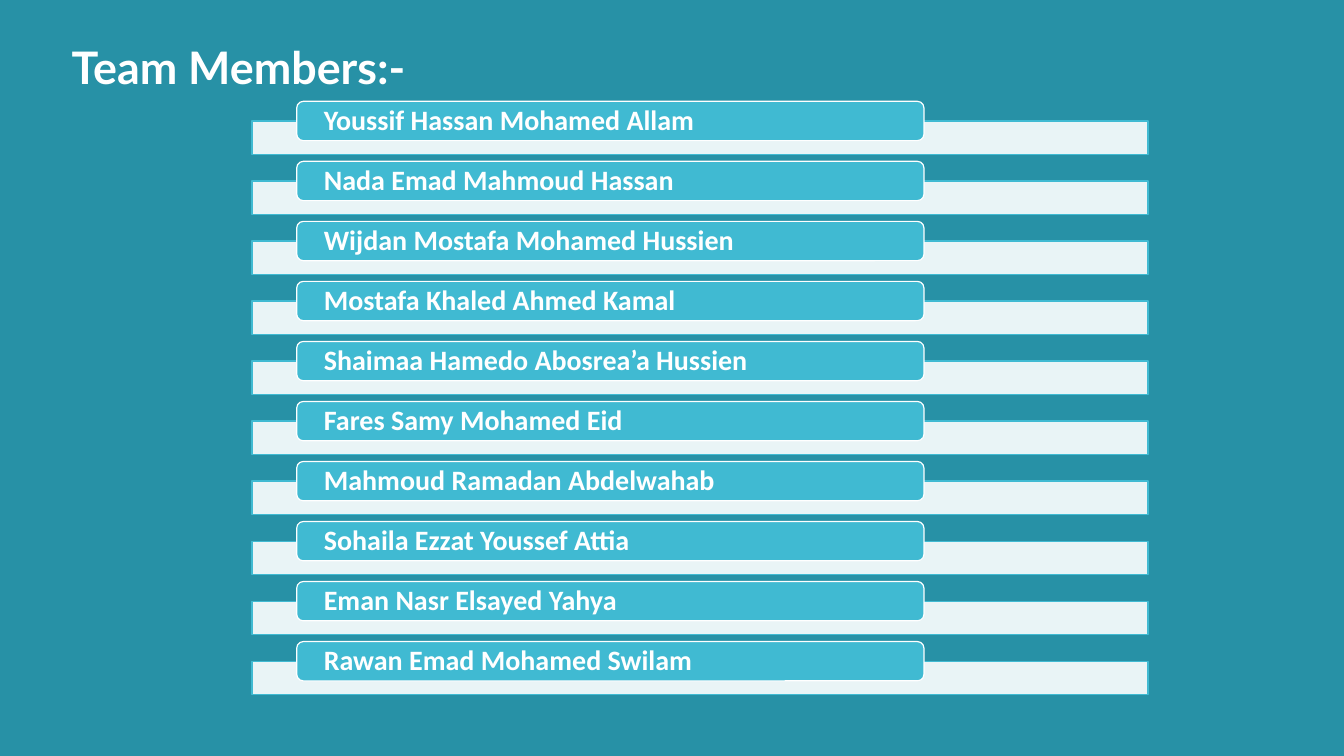
from pptx import Presentation
from pptx import util as u
from pptx.dml.color import RGBColor
from pptx.enum import shapes, text
from pptx.oxml.ns import qn
from lxml import etree

TEAL = RGBColor(0x27, 0x91, 0xA6)
SKY = RGBColor(0x40, 0xBA, 0xD2)
WHITE = RGBColor(0xFF, 0xFF, 0xFF)

MEMBERS = [
    "Youssif Hassan Mohamed Allam",
    "Nada Emad Mahmoud Hassan",
    "Wijdan Mostafa Mohamed Hussien",
    "Mostafa Khaled Ahmed Kamal",
    "Shaimaa Hamedo Abosrea’a Hussien",
    "Fares Samy Mohamed Eid",
    "Mahmoud Ramadan Abdelwahab",
    "Sohaila Ezzat Youssef Attia",
    "Eman Nasr Elsayed Yahya",
    "Rawan Emad Mohamed Swilam",
]
ROW_STEP = 7.94


class TeamSlide:
    """Styled slide whose lengths are percentages of its width and height."""

    def __init__(self, deck):
        self.width, self.height = deck.slide_width, deck.slide_height
        self.slide = deck.slides.add_slide(deck.slide_layouts[5])
        background = self.slide.background.fill
        background.solid()
        background.fore_color.rgb = TEAL

    def area(self, left, top, width, height):
        return (int(self.width * left / 100), int(self.height * top / 100),
                int(self.width * width / 100), int(self.height * height / 100))

    def label(self, frame, wording, face, size):
        frame.text = wording
        frame.word_wrap = True
        line = frame.paragraphs[0]
        line.alignment = text.PP_ALIGN.LEFT
        line.font.name = face
        line.font.size = u.Pt(size)
        line.font.bold = True
        line.font.color.rgb = WHITE
        return line

    def title(self, wording, *place):
        heading = self.slide.shapes.title
        heading.left, heading.top, heading.width, heading.height = self.area(*place)
        frame = heading.text_frame
        self.label(frame, wording, "Lato", 32)
        frame.vertical_anchor = text.MSO_ANCHOR.TOP
        frame.auto_size = text.MSO_AUTO_SIZE.SHAPE_TO_FIT_TEXT

    def block(self, kind, fill, outline, *place):
        block = self.slide.shapes.add_shape(kind, *self.area(*place))
        block.shadow.inherit = False
        block.fill.solid()
        block.fill.fore_color.rgb = fill
        block.line.color.rgb = outline
        block.line.width = u.Pt(0.85)
        return block

    def bar(self, *place):
        bar = self.block(shapes.MSO_SHAPE.RECTANGLE, WHITE, SKY, *place)
        tint = bar.element.spPr.find(qn("a:solidFill"))[0]
        etree.SubElement(tint, qn("a:alpha"), val="90000")

    def pill(self, name, *place):
        pill = self.block(shapes.MSO_SHAPE.ROUNDED_RECTANGLE, SKY, WHITE, *place)
        frame = pill.text_frame
        frame.margin_left = frame.margin_right = u.Inches(0.25)
        frame.margin_top = frame.margin_bottom = 0
        frame.vertical_anchor = text.MSO_ANCHOR.MIDDLE
        self.label(frame, name, "Calibri", 20).line_spacing = 0.9


def main():
    deck = Presentation()
    deck.slide_width, deck.slide_height = u.Inches(13.33), u.Inches(7.5)
    team = TeamSlide(deck)
    team.title("Team Members:-", 4.58, 4.53, 44.34, 8.53)
    for row, name in enumerate(MEMBERS):
        offset = row * ROW_STEP
        team.bar(18.75, 16 + offset, 66.67, 4.4)
        team.pill(name, 22.08, 13.4 + offset, 46.67, 5.2)
    deck.save("out.pptx")


if __name__ == "__main__":
    main()
